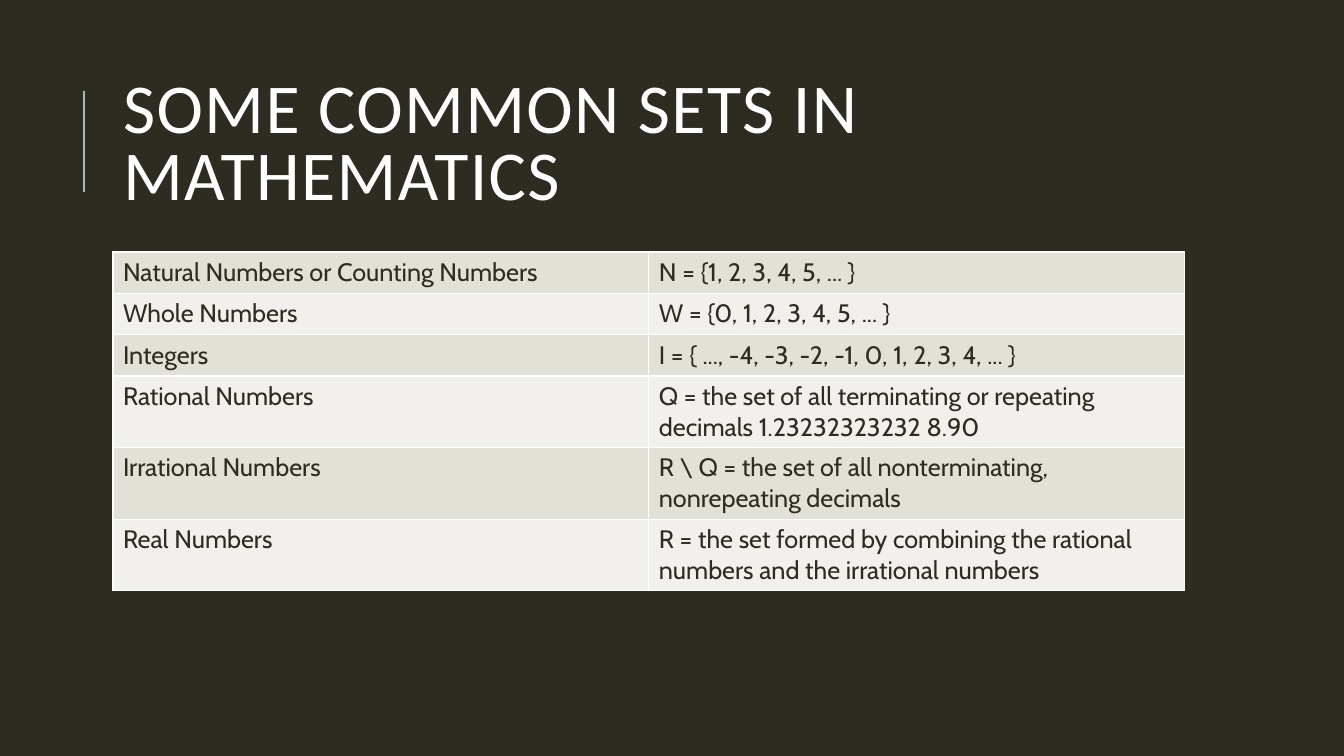
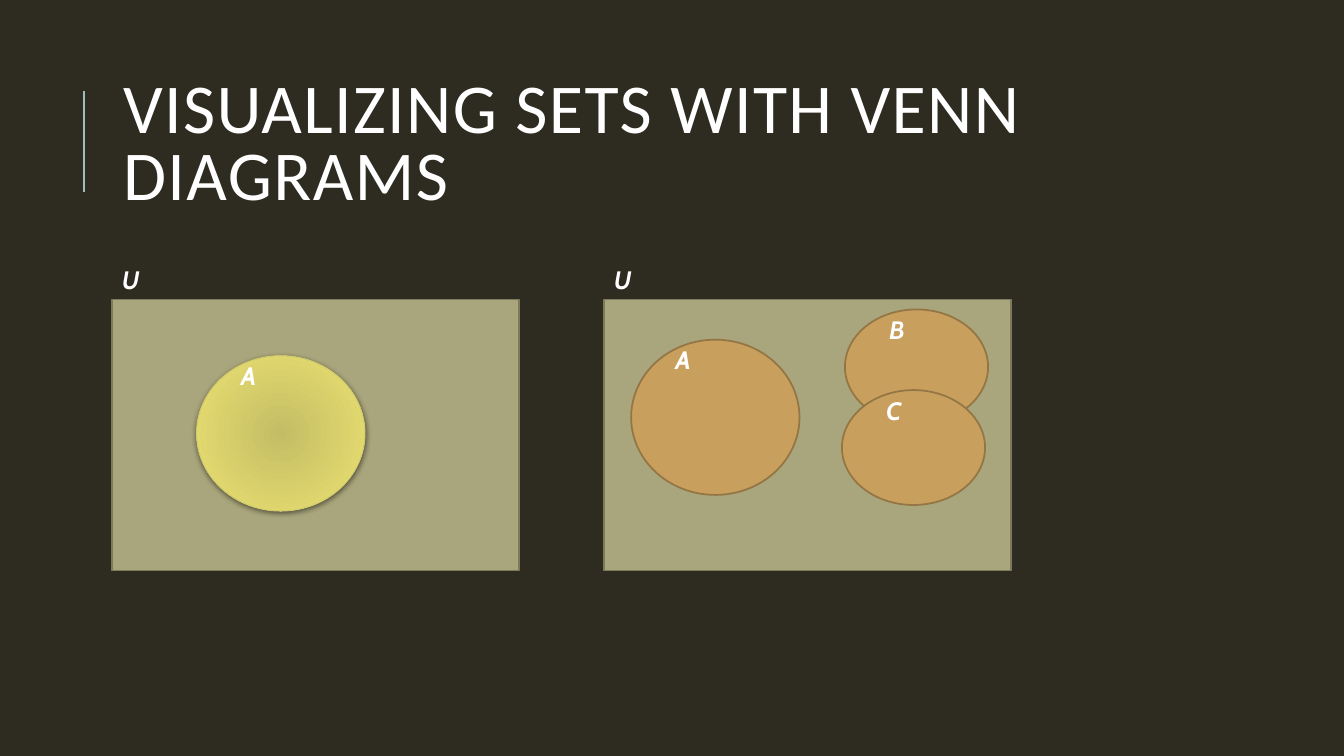
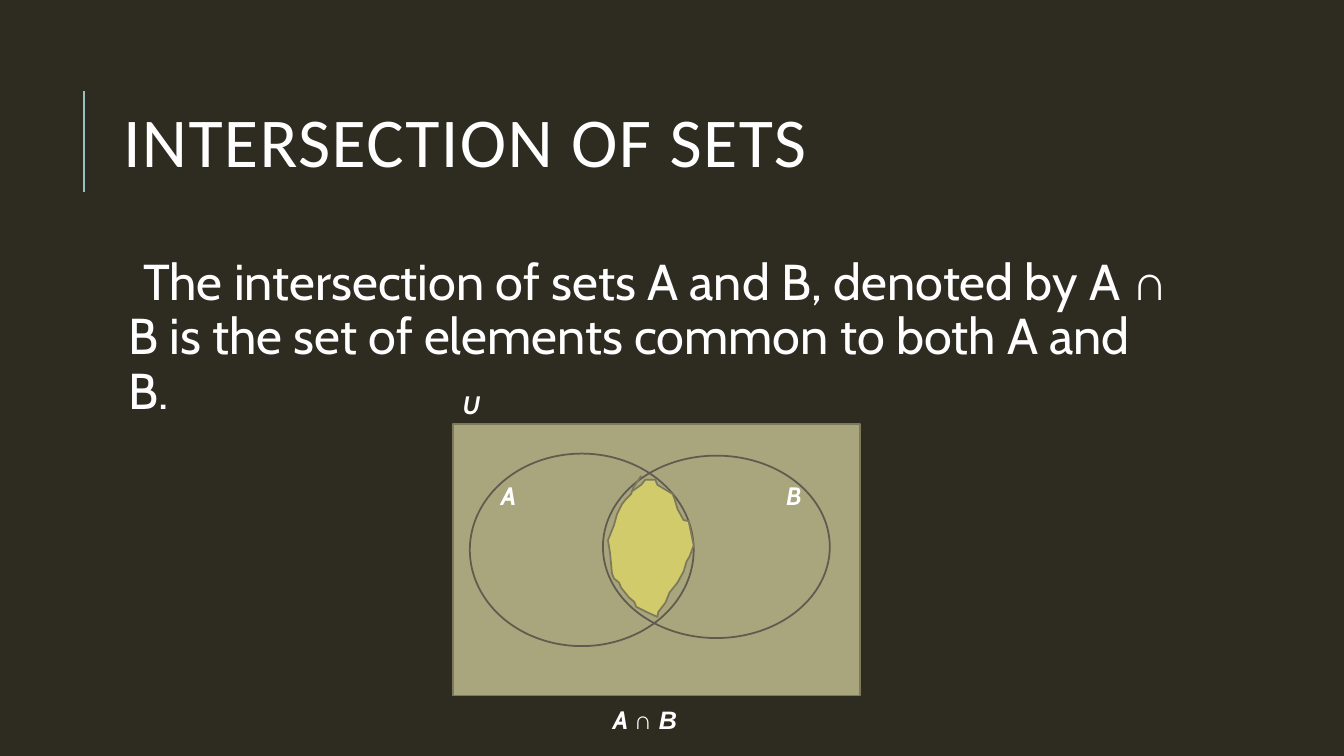
from dataclasses import dataclass
from typing import NamedTuple, Optional

from lxml import etree
from pptx import Presentation
from pptx.dml.color import RGBColor
from pptx.enum.shapes import MSO_CONNECTOR, MSO_SHAPE
from pptx.enum.text import MSO_ANCHOR, MSO_AUTO_SIZE, PP_ALIGN
from pptx.oxml.ns import qn
from pptx.util import Inches, Pt

RECT = MSO_SHAPE.RECTANGLE
OVAL = MSO_SHAPE.OVAL
STRAIGHT = MSO_CONNECTOR.STRAIGHT
MIDDLE = MSO_ANCHOR.MIDDLE
LEFT = PP_ALIGN.LEFT
NO_FIT = MSO_AUTO_SIZE.NONE
GROW = MSO_AUTO_SIZE.SHAPE_TO_FIT_TEXT

DARK = RGBColor(0x2E, 0x2B, 0x21)
WHITE = RGBColor(0xFF, 0xFF, 0xFF)
ACCENT = RGBColor(0x9C, 0xBE, 0xBD)
BAND = RGBColor(0xE2, 0xE1, 0xD7)
PALE = RGBColor(0xF1, 0xF0, 0xEC)
OLIVE = RGBColor(0xA9, 0xA5, 0x7C)
OLIVE_LINE = RGBColor(0x7D, 0x7A, 0x5C)
ORANGE = RGBColor(0xC8, 0x9F, 0x5D)
ORANGE_LINE = RGBColor(0x94, 0x76, 0x45)
YELLOW = RGBColor(0xD2, 0xCB, 0x6C)
GLOW_CENTER = RGBColor(0xC4, 0xBD, 0x65)
GLOW_EDGE = RGBColor(0xEC, 0xE2, 0x71)
OUTLINE = RGBColor(0x60, 0x5B, 0x4F)

TITLE_FONT = "Calibri"
BODY_FONT = "Cabin"
SYMBOL_FONT = "Arial"

MARGIN = 1.12
CONTENT_TOP = 2.5
CONTENT_WIDTH = 10.63
ROW_HEIGHT = 0.41

NUMBER_SETS = [
    ("Natural Numbers or Counting Numbers", "N = {1, 2, 3, 4, 5, ... }"),
    ("Whole Numbers", "W = {0, 1, 2, 3, 4, 5, ... }"),
    ("Integers", "I = { ..., -4, -3, -2, -1, 0, 1, 2, 3, 4, ... }"),
    ("Rational Numbers",
     "Q = the set of all terminating or repeating decimals 1.23232323232 8.90"),
    ("Irrational Numbers",
     "R \\ Q = the set of all nonterminating, nonrepeating decimals"),
    ("Real Numbers",
     "R = the set formed by combining the rational numbers and the irrational numbers"),
]

OVERLAP = [
    (6.36, 4.72), (6.28, 4.84), (6.26, 4.9), (6.21, 4.95), (6.17, 5),
    (6.12, 5.1), (6.09, 5.21), (6.07, 5.26), (6.05, 5.31), (6.03, 5.36),
    (6.05, 5.48), (6.07, 5.69), (6.09, 5.74), (6.14, 5.78), (6.16, 5.83),
    (6.24, 5.93), (6.29, 5.97), (6.31, 6.02), (6.41, 6.07), (6.52, 6.12),
    (6.53, 6.07), (6.6, 5.98), (6.64, 5.88), (6.72, 5.78), (6.78, 5.67),
    (6.81, 5.57), (6.84, 5.52), (6.88, 5.41), (6.83, 5.17), (6.78, 5.16),
    (6.72, 5.05), (6.69, 4.95), (6.67, 4.9), (6.52, 4.81), (6.5, 4.76),
    (6.4, 4.76), (6.36, 4.81), (6.26, 4.88),
]


class Piece(NamedTuple):
    text: str
    font: str = BODY_FONT


@dataclass(frozen=True)
class Region:
    name: str
    left: float
    top: float
    width: float
    height: float
    fill: Optional[RGBColor] = ORANGE
    line: RGBColor = ORANGE_LINE
    line_width: float = 1.25
    dx: float = 0.34
    dy: float = 0
    label_width: float = 0.36
    kind: MSO_SHAPE = OVAL


def universe(left: float, top: float) -> Region:
    return Region("U", left, top, 4.04, 2.69, OLIVE, OLIVE_LINE,
                  dx=0, dy=-0.4, kind=RECT)


def add_pieces(p, pieces: list[Piece], size: float, bold: bool = False) -> None:
    for piece in pieces:
        r = p.add_run()
        r.text = piece.text
        r.font.name = piece.font
        r.font.size = Pt(size)
        r.font.bold = r.font.italic = bold
        r.font.color.rgb = WHITE


def add_label(shapes, pieces: list[Piece], left: float, top: float, width: float) -> None:
    box = shapes.add_textbox(Inches(left), Inches(top), Inches(width), Inches(0.4))
    tf = box.text_frame
    tf.word_wrap = False
    tf.auto_size = GROW
    add_pieces(tf.paragraphs[0], pieces, 18, True)


def style(s, fill: Optional[RGBColor], line: RGBColor, width: float) -> None:
    s.shadow.inherit = False
    if fill is None:
        s.fill.background()
    else:
        s.fill.solid()
        s.fill.fore_color.rgb = fill
    s.line.color.rgb = line
    s.line.width = Pt(width)


def add_region(slide, region: Region):
    shapes = slide.shapes.add_group_shape().shapes
    s = shapes.add_shape(region.kind, Inches(region.left), Inches(region.top),
                         Inches(region.width), Inches(region.height))
    style(s, region.fill, region.line, region.line_width)
    add_label(shapes, [Piece(region.name)], region.left + region.dx,
              region.top + region.dy, region.label_width)
    return s


def add_glow(s) -> None:
    s.fill.gradient()
    for stop, color in zip(s.fill.gradient_stops, (GLOW_CENTER, GLOW_EDGE)):
        stop.color.rgb = color
    spPr = s.element.spPr
    grad = spPr.find(qn("a:gradFill"))
    lin = grad.find(qn("a:lin"))
    circle = etree.Element(qn("a:path"), path="circle")
    etree.SubElement(circle, qn("a:fillToRect"), {side: "100000" for side in "ltrb"})
    grad.replace(lin, circle)
    shadow = etree.SubElement(spPr.find(qn("a:effectLst")), qn("a:outerShdw"),
                              blurRad=str(Pt(4)), dist=str(Pt(1)), dir="5400000")
    black = etree.SubElement(shadow, qn("a:srgbClr"), val="000000")
    etree.SubElement(black, qn("a:alpha"), val="50000")


def add_slide(prs, title: str):
    slide = prs.slides.add_slide(prs.slide_layouts[5])
    bar = slide.shapes.add_connector(STRAIGHT, Inches(0.83), Inches(1.9),
                                     Inches(0.83), Inches(0.9))
    bar.line.color.rgb = ACCENT
    bar.line.width = Pt(1.5)
    etree.SubElement(bar.element.spPr, qn("a:effectLst"))
    s = slide.shapes.title
    s.left, s.top = Inches(MARGIN), Inches(0.64)
    s.width, s.height = Inches(CONTENT_WIDTH), Inches(1.64)
    tf = s.text_frame
    tf.text = title
    tf.word_wrap = True
    tf.auto_size = NO_FIT
    tf.vertical_anchor = MIDDLE
    p = tf.paragraphs[0]
    p.alignment = LEFT
    p.line_spacing = 0.8
    r = p.runs[0]
    r.font.name = TITLE_FONT
    r.font.size = Pt(50)
    r.font.color.rgb = WHITE
    r.font._element.set("spc", "100")
    return slide


def format_cell(cell, text: str, fill: RGBColor) -> None:
    cell.text = text
    font = cell.text_frame.paragraphs[0].runs[0].font
    font.name = BODY_FONT
    font.size = Pt(18)
    font.color.rgb = DARK
    tcPr = cell._tc.get_or_add_tcPr()
    for side in ("lnL", "lnR", "lnT", "lnB"):
        ln = etree.SubElement(tcPr, qn(f"a:{side}"), w=str(Pt(1)))
        solid = etree.SubElement(ln, qn("a:solidFill"))
        etree.SubElement(solid, qn("a:srgbClr"), val=str(WHITE))
    cell.fill.solid()
    cell.fill.fore_color.rgb = fill


def build_common_sets(prs) -> None:
    slide = add_slide(prs, "SOME COMMON SETS IN MATHEMATICS")
    table = slide.shapes.add_table(
        len(NUMBER_SETS), 2, Inches(MARGIN), Inches(CONTENT_TOP),
        Inches(CONTENT_WIDTH), Inches(ROW_HEIGHT * len(NUMBER_SETS))).table
    table.first_row = False
    table.horz_banding = False
    for i, row in enumerate(NUMBER_SETS):
        for j, text in enumerate(row):
            format_cell(table.cell(i, j), text, PALE if i % 2 else BAND)


def build_venn_diagrams(prs) -> None:
    slide = add_slide(prs, "VISUALIZING SETS WITH VENN DIAGRAMS")
    add_region(slide, universe(1.11, 2.97))
    add_glow(add_region(slide, Region("A", 1.95, 3.53, 1.67, 1.54, YELLOW, YELLOW, 0.75)))
    for region in (
        universe(5.99, 2.97),
        Region("A", 6.26, 3.37, 1.67, 1.54),
        Region("B", 8.38, 3.07, 1.42, 1.14, label_width=0.34),
        Region("C", 8.35, 3.87, 1.42, 1.14, label_width=0.35),
    ):
        add_region(slide, region)


def add_definition(slide) -> None:
    box = slide.shapes.add_textbox(Inches(MARGIN), Inches(CONTENT_TOP),
                                   Inches(CONTENT_WIDTH), Inches(4.4))
    tf = box.text_frame
    tf.word_wrap = True
    tf.margin_left = tf.margin_right = tf.margin_top = tf.margin_bottom = Inches(0.05)
    p = tf.paragraphs[0]
    p.line_spacing = 0.9
    p.space_before = Pt(12)
    p.space_after = Pt(2)
    add_pieces(p, [
        Piece("The intersection of sets A and B, denoted by A "),
        Piece("∩", SYMBOL_FONT),
        Piece(" B is the set of elements common to both A and B."),
    ], 36)
    pPr = p._p.get_or_add_pPr()
    pPr.set("marL", str(Inches(0.1)))
    pPr.set("indent", str(Inches(-0.1)))
    color = etree.SubElement(pPr, qn("a:buClr"))
    etree.SubElement(color, qn("a:srgbClr"), val=str(ACCENT))
    etree.SubElement(pPr, qn("a:buChar"), char=" ")


def build_intersection(prs) -> None:
    slide = add_slide(prs, "INTERSECTION OF SETS")
    add_definition(slide)
    for region in (
        universe(4.49, 4.21),
        Region("A", 4.66, 4.5, 2.22, 1.91, None, OUTLINE,
               dx=0.21, dy=0.22, label_width=0.48),
        Region("B", 5.98, 4.52, 2.25, 1.81, None, OUTLINE,
               dx=1.72, dy=0.2, label_width=0.34),
    ):
        add_region(slide, region)
    points = [(Inches(x), Inches(y)) for x, y in OVERLAP]
    builder = slide.shapes.build_freeform(*points[0])
    builder.add_line_segments(points[1:], close=False)
    style(builder.convert_to_shape(), YELLOW, OLIVE_LINE, 1.25)
    add_label(slide.shapes, [Piece("A "), Piece("∩ B", SYMBOL_FONT)], 5.98, 6.94, 0.86)


def main() -> None:
    prs = Presentation()
    prs.slide_width = Inches(13.33)
    prs.slide_height = Inches(7.5)
    background = prs.slide_master.background.fill
    background.solid()
    background.fore_color.rgb = DARK
    build_common_sets(prs)
    build_venn_diagrams(prs)
    build_intersection(prs)
    prs.save("out.pptx")


if __name__ == "__main__":
    main()
